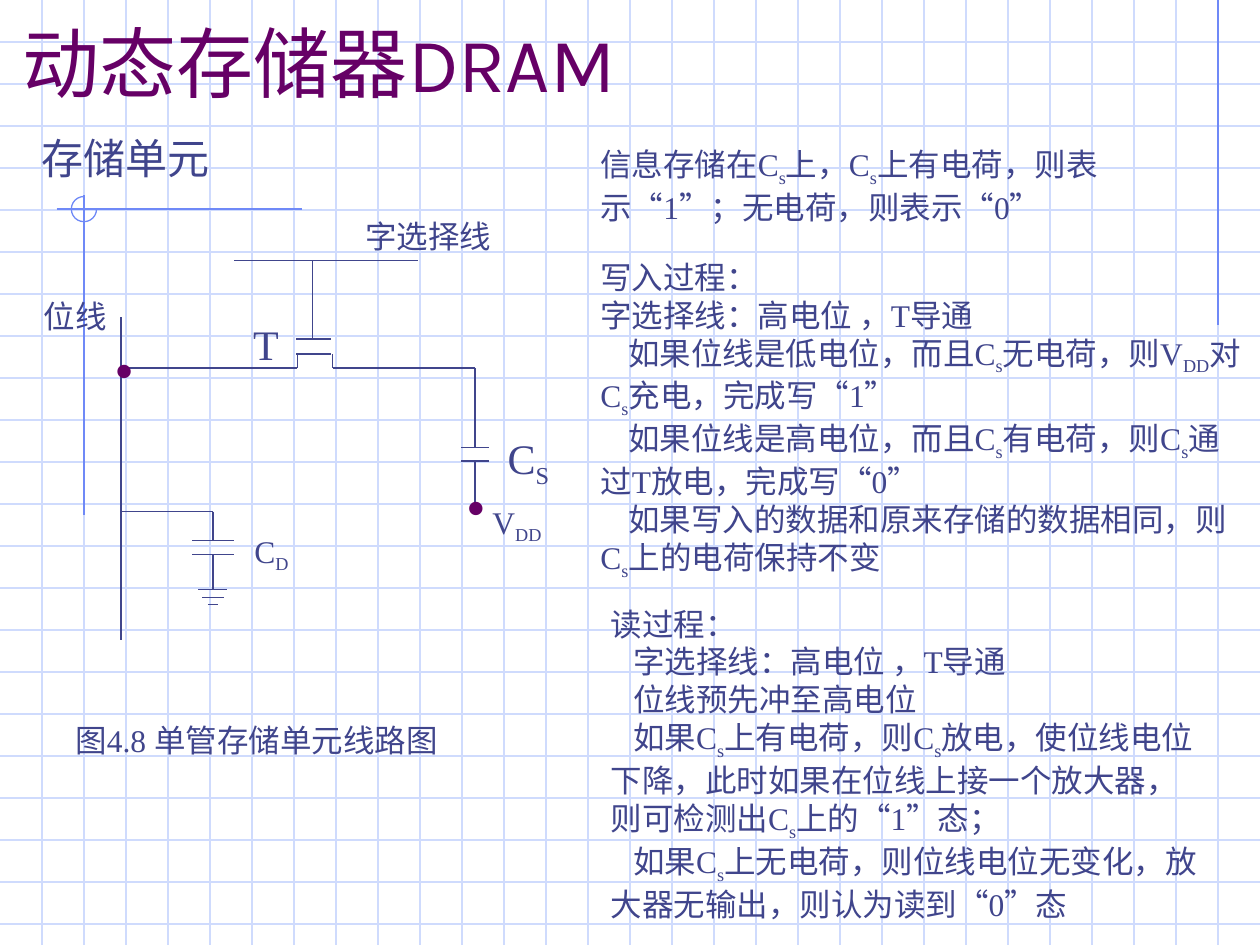
import pptx
import pptx.dml.color
import pptx.enum.shapes
import pptx.enum.text
import pptx.util
from lxml import etree

RGBColor = pptx.dml.color.RGBColor
Align = pptx.enum.text.PP_ALIGN
Anchor = pptx.enum.text.MSO_ANCHOR
In = pptx.util.Inches

GRID_BLUE = RGBColor(0xCF, 0xDB, 0xFD)
ACCENT_BLUE = RGBColor(0x6F, 0x89, 0xF7)
INK = RGBColor(0x40, 0x45, 0x8C)
PURPLE = RGBColor(0x66, 0x00, 0x66)

WIDTH, HEIGHT = 10, 7.5
CELL = 1 / 3
BODY = {"size": pptx.util.Pt(18), "name": "Times New Roman"}
LARGE = {**BODY, "size": pptx.util.Pt(24)}
DOT = {**BODY, "size": pptx.util.Pt(32)}
TITLE = {"size": pptx.util.Pt(44), "name": "Karla"}

STORAGE = ["信息存储在C[s]上，C[s]上有电荷，则表示“1”；无电荷，则表示“0”"]
WRITING = [
    "写入过程：",
    "字选择线：高电位 ，T导通",
    ">如果位线是低电位，而且C[s]无电荷，则V[DD]对C[s]充电，完成写“1”",
    ">如果位线是高电位，而且C[s]有电荷，则C[s]通过T放电，完成写“0”",
    ">如果写入的数据和原来存储的数据相同，则C[s]上的电荷保持不变",
]
READING = [
    "读过程：",
    ">字选择线：高电位 ，T导通",
    ">位线预先冲至高电位",
    ">如果C[s]上有电荷，则C[s]放电，使位线电位下降，"
    "此时如果在位线上接一个放大器，则可检测出C[s]上的“1”态；",
    ">如果C[s]上无电荷，则位线电位无变化，放大器无输出，则认为读到“0”态",
]


def draw_line(slide, x1, y1, x2, y2, color):
    line = slide.shapes.add_connector(
        pptx.enum.shapes.MSO_CONNECTOR.STRAIGHT, In(x1), In(y1), In(x2), In(y2))
    line.line.color.rgb = color
    line.line.width = pptx.util.Pt(0.75)
    etree.SubElement(line._element.spPr, pptx.oxml.ns.qn("a:effectLst"))


def write_runs(paragraph, text, style, color):
    """Write text whose bracketed parts are subscripts."""
    for index, part in enumerate(text.replace("]", "[").split("[")):
        if not part:
            continue
        run = paragraph.add_run()
        run.text = part
        for key, value in style.items():
            setattr(run.font, key, value)
        run.font.color.rgb = color
        if index % 2:
            run.font._element.set("baseline", "-25000")


def add_text(slide, box, lines, style=BODY, color=INK, indent=0.22,
             align=Align.LEFT, anchor=Anchor.TOP):
    """Add a text box; a leading > marks a paragraph with a first-line indent."""
    frame = slide.shapes.add_textbox(*map(In, box)).text_frame
    frame.word_wrap = True
    frame.vertical_anchor = anchor
    for index, text in enumerate(lines):
        paragraph = frame.add_paragraph() if index else frame.paragraphs[0]
        paragraph.alignment = align
        if text.startswith(">"):
            properties = paragraph._p.get_or_add_pPr()
            properties.set("marL", "0")
            properties.set("indent", str(In(indent)))
        write_runs(paragraph, text.lstrip(">"), style, color)


def draw_backdrop(slide):
    for row in range(1, 23):
        draw_line(slide, 0, row * CELL, WIDTH, row * CELL, GRID_BLUE)
    for column in range(1, 30):
        draw_line(slide, column * CELL, 0, column * CELL, HEIGHT, GRID_BLUE)

    left, level, radius = 2 * CELL, 1.66, 0.1
    draw_line(slide, 29 * CELL, 0, 29 * CELL, 2.58, ACCENT_BLUE)
    draw_line(slide, 0.45, level, 2.4, level, ACCENT_BLUE)
    draw_line(slide, left, 1.55, left, 4.09, ACCENT_BLUE)
    arc = slide.shapes.add_shape(
        pptx.enum.shapes.MSO_SHAPE.ARC, In(left - radius), In(level - radius),
        In(2 * radius), In(2 * radius))
    arc.adjustments[0], arc.adjustments[1] = 0, 162
    arc.shadow.inherit = False
    arc.fill.background()
    arc.line.color.rgb = ACCENT_BLUE
    arc.line.width = pptx.util.Pt(0.75)


def place_title(slide, box):
    title = slide.shapes.title
    title.left, title.top, title.width, title.height = map(In, box)
    frame = title.text_frame
    frame.auto_size = pptx.enum.text.MSO_AUTO_SIZE.NONE
    frame.vertical_anchor = Anchor.BOTTOM
    frame.paragraphs[0].alignment = Align.LEFT
    write_runs(frame.paragraphs[0], "动态存储器DRAM", TITLE, PURPLE)
    slide.shapes._spTree.append(title._element)  # in front of the grid


def draw_circuit(slide, box):
    """Draw the one-transistor cell on a grid of 85 columns and 68 rows."""
    left, top, width, height = box
    column, row = width / 85, height / 68

    def place(x, y, w, h):
        return left + x * column, top + y * row, w * column, h * row

    bit, gate, storage, stray = 14.2, 44.6, 70.4, 28.8
    source, drain = 42.2, 47.8
    word, channel, branch = 8, 25, 47.8
    wires = [
        (bit, 17, bit, 68.2),
        (32.2, word, 61.4, word),
        (gate, word, gate, 20.4),
        (source, 22.8, source, channel),
        (drain, 22.8, drain, channel),
        (bit, channel, source, channel),
        (drain, channel, storage, channel),
        (storage, channel, storage, 37.6),
        (storage, 39.8, storage, 46.6),
        (bit, branch, stray, branch),
        (stray, branch, stray, 52.4),
        (stray, 54.6, stray, 60.2),
    ]
    plates = [
        (gate + 0.2, 20.4, 2.8), (gate + 0.2, 22.8, 2.8),
        (storage, 37.6, 2.2), (storage, 39.8, 2.2),
        (stray, 52.4, 3.3), (stray, 54.6, 3.3),
        (stray, 60.2, 2.3), (stray, 61.4, 1.7), (stray, 62.6, 0.8),
    ]
    wires += [(x - half, y, x + half, y) for x, y, half in plates]
    for x1, y1, x2, y2 in wires:
        draw_line(slide, left + x1 * column, top + y1 * row,
                  left + x2 * column, top + y2 * row, INK)

    labels = [
        ("位线", (0, 12.8, 16, 8), BODY),
        ("字选择线", (51, 0, 27.2, 8), BODY),
        ("T", (33.2, 16.2, 7, 10), LARGE),
        ("C[S]", (73.6, 34.2, 11.4, 11.2), LARGE),
        ("V[DD]", (71.2, 45.4, 13.8, 8.8), BODY),
        ("C[D]", (33.4, 50, 15, 8.8), BODY),
    ]
    for text, spot, style in labels:
        add_text(slide, place(*spot), [text], style)
    for x, y in [(67, 44), (11.2, 22.2)]:
        add_text(slide, place(x, y, 4.4, 5.6), ["•"], DOT, PURPLE,
                 align=Align.CENTER, anchor=Anchor.MIDDLE)


def place_explanation(slide, box):
    left, top, width, height = box
    add_text(slide, (left, top, 0.94 * width, 0.12 * height), STORAGE)
    add_text(slide, (left, top + 0.143 * height, width, 0.42 * height), WRITING)
    add_text(slide, (left + 0.015 * width, top + 0.581 * height,
                     0.91 * width, 0.42 * height), READING, indent=0.18)


def main():
    deck = pptx.Presentation()
    deck.slide_width, deck.slide_height = In(WIDTH), In(HEIGHT)
    slide = deck.slides.add_slide(deck.slide_layouts[5])
    draw_backdrop(slide)
    place_title(slide, (0.08, 0.08, 0.85 * WIDTH, 0.11 * HEIGHT))
    draw_circuit(slide, (0.25, 1.67, 4.25, 3.4))
    add_text(slide, (0.5, 5.67, 5.68, 0.4), ["图4.8 单管存储单元线路图"])
    place_explanation(slide, (14 * CELL, 1.1, 16 * CELL, 6.28))
    add_text(slide, (0.23, 1, 3.6, 0.5), ["存储单元"], LARGE)
    deck.save("out.pptx")


if __name__ == "__main__":
    main()
